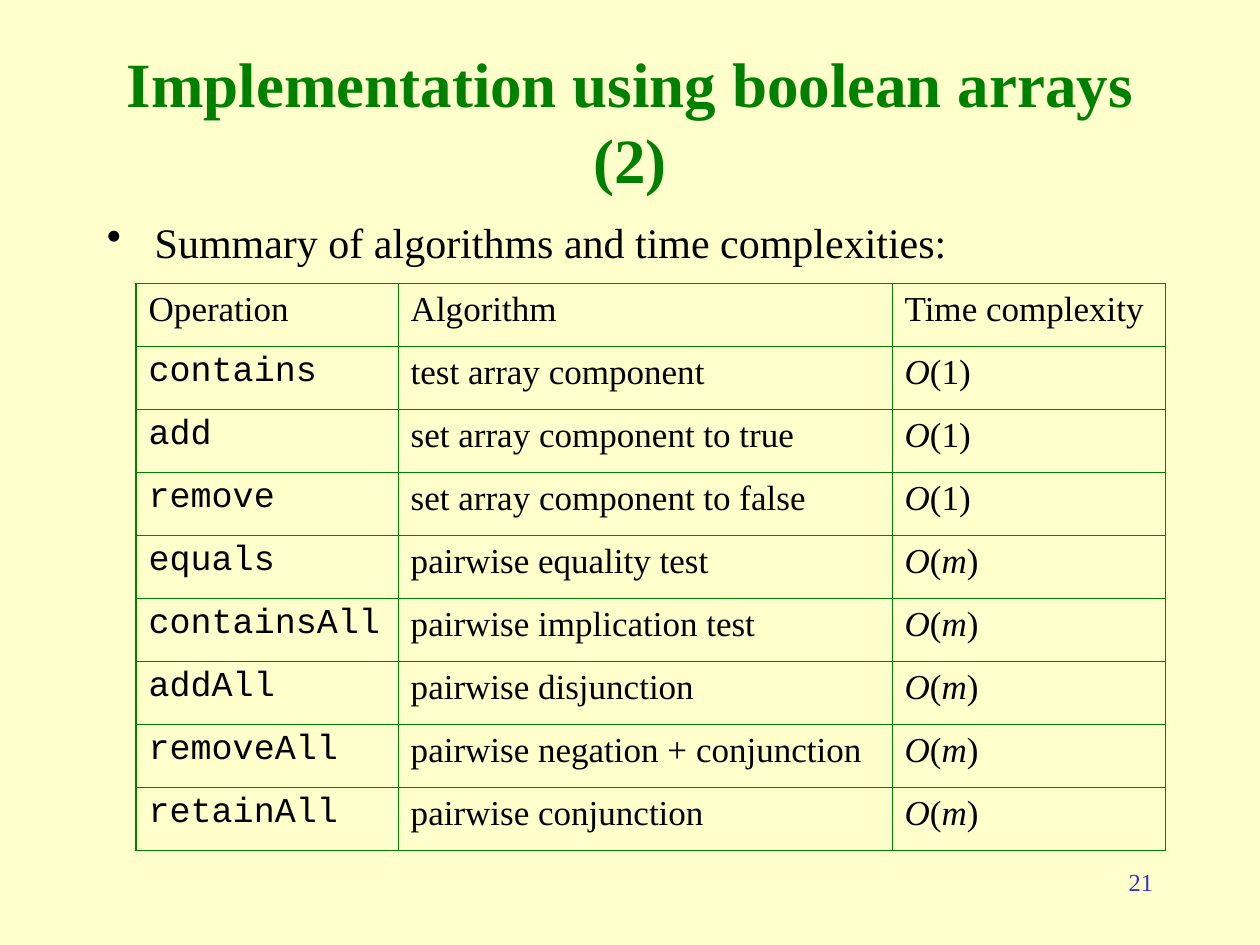
from lxml import etree
from pptx import Presentation
from pptx.dml.color import RGBColor
from pptx.enum.text import MSO_ANCHOR, PP_ALIGN
from pptx.oxml.ns import qn
from pptx.util import Inches, Pt

LEFT, MID, RIGHT = PP_ALIGN.LEFT, PP_ALIGN.CENTER, PP_ALIGN.RIGHT
TOP, MIDDLE = MSO_ANCHOR.TOP, MSO_ANCHOR.MIDDLE
WIDE, HIGH = 10, 7.5
SERIF, MONO = "Times New Roman", "Courier New"
GREEN, BLACK, BLUE, CREAM = "008000", "000000", "3333CC", "FFFFCC"
THIN, THICK = 0.45, 1.08
COLS = (2.08, 3.92, 2.17)
HEAD = ("Operation", "Algorithm", "Time complexity")
ROWS = (
    ("contains", "test array component", "1"),
    ("add", "set array component to true", "1"),
    ("remove", "set array component to false", "1"),
    ("equals", "pairwise equality test", "m"),
    ("containsAll", "pairwise implication test", "m"),
    ("addAll", "pairwise disjunction", "m"),
    ("removeAll", "pairwise negation + conjunction", "m"),
    ("retainAll", "pairwise conjunction", "m"),
)


def color(code):
    return RGBColor.from_string(code)


def write(frame, *parts, size=20, font=SERIF, ink=BLACK, bold=False,
          align=LEFT, slant="", bullet=False, space=None):
    para = frame.paragraphs[0]
    para.alignment = align
    para.line_spacing = space
    if bullet:
        props = para._p.get_or_add_pPr()
        props.set("marL", str(Inches(0.38)))
        props.set("indent", str(-Inches(0.38)))
        etree.SubElement(props, qn("a:buChar")).set("char", "•")
    for part in parts:
        run = para.add_run()
        run.text = part
        face = run.font
        face.name, face.size, face.bold = font, Pt(size), bold
        face.italic = part in slant if slant else False
        face.color.rgb = color(ink)


def label(slide, box, text, anchor=TOP, **form):
    frame = slide.shapes.add_textbox(*map(Inches, box)).text_frame
    frame.word_wrap = True
    frame.vertical_anchor = anchor
    write(frame, text, **form)


def edge(cell, side, width):
    line = etree.SubElement(cell._tc.get_or_add_tcPr(), qn("a:ln" + side))
    line.set("w", str(Pt(width)))
    fill = etree.SubElement(line, qn("a:solidFill"))
    etree.SubElement(fill, qn("a:srgbClr")).set("val", GREEN)


def frame_cell(cell, row, col):
    outer = {"L": col == 0, "R": col == len(COLS) - 1,
             "T": row < 2, "B": row in (0, len(ROWS))}
    for side, thick in outer.items():
        edge(cell, side, THICK if thick else THIN)
    cell.fill.background()


def grid(slide, box):
    table = slide.shapes.add_table(
        len(ROWS) + 1, len(COLS), *map(Inches, box)).table
    table.first_row = table.horz_banding = False
    for col, share in enumerate(COLS):
        table.columns[col].width = Inches(box[2] * share / sum(COLS))
    for row, items in enumerate((HEAD,) + ROWS):
        for col, item in enumerate(items):
            cell = table.cell(row, col)
            frame_cell(cell, row, col)
            if row and col == 2:
                parts = ("O", "(", "m", ")") if item == "m" else ("O", "(1)")
                write(cell.text_frame, *parts, slant="Om")
            else:
                write(cell.text_frame, item,
                      font=MONO if row and col == 0 else SERIF)


def page(slide, wide, high):
    back = slide.background.fill
    back.solid()
    back.fore_color.rgb = color(CREAM)
    side, span = 0.075 * wide, 0.85 * wide
    label(slide, (side, 0.58, span, 0.1 * high),
          "Implementation using boolean arrays (2)", anchor=MIDDLE,
          size=36, ink=GREEN, bold=True, align=MID)
    label(slide, (side, 1.67, span, 5.08),
          "Summary of algorithms and time complexities:",
          size=24, bullet=True)
    grid(slide, (1.08, 0.3 * high, sum(COLS), 0.6 * high))
    label(slide, (7.17, 6.83, 2.08, 0.5), "21",
          size=14, ink=BLUE, align=RIGHT)


def main():
    deck = Presentation()
    deck.slide_width, deck.slide_height = Inches(WIDE), Inches(HIGH)
    page(deck.slides.add_slide(deck.slide_layouts[6]), WIDE, HIGH)
    deck.save("out.pptx")


if __name__ == "__main__":
    main()
